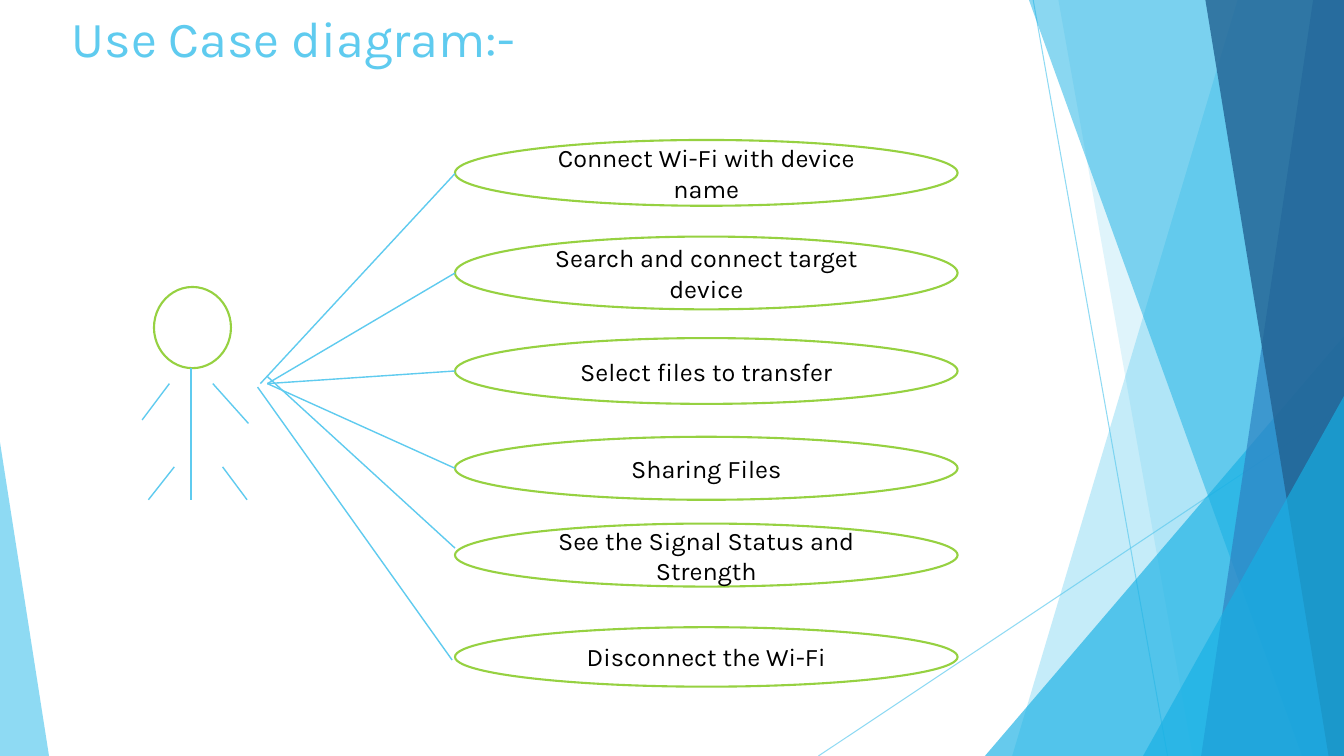
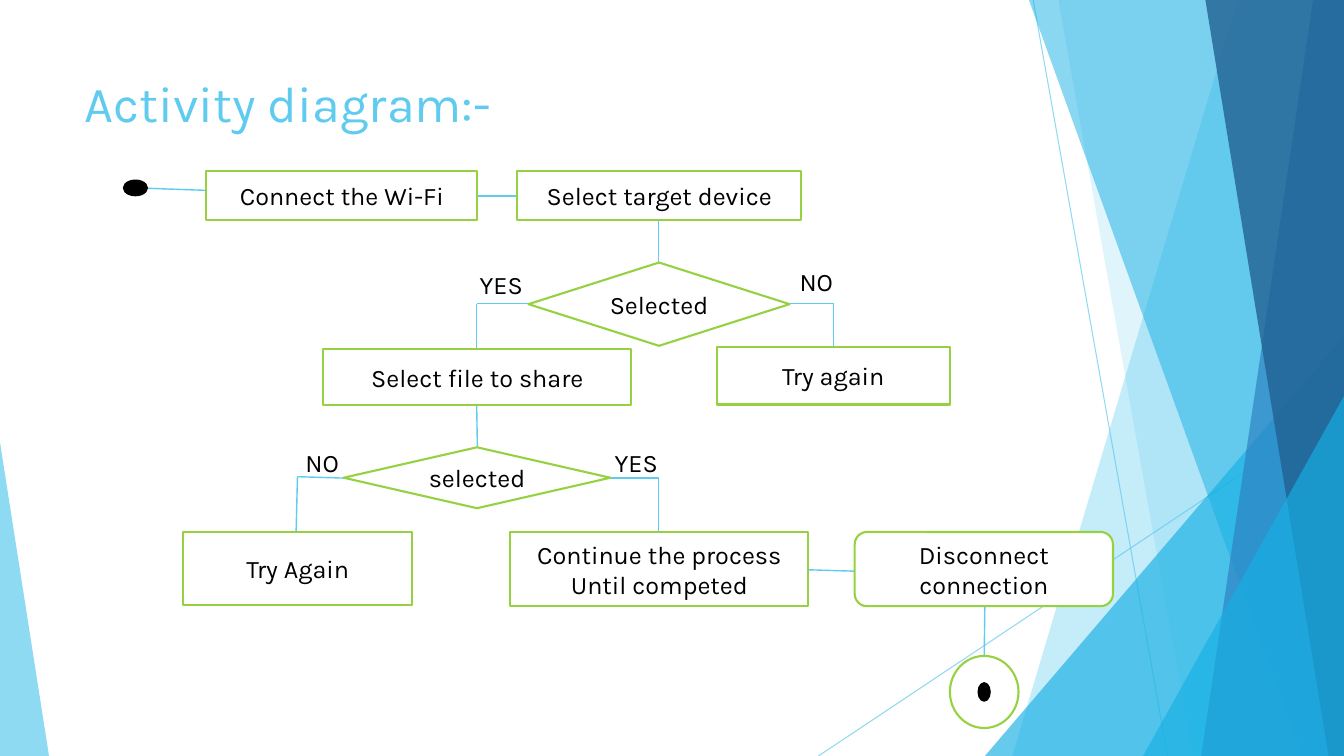
from dataclasses import dataclass
from itertools import pairwise

from lxml.etree import SubElement
from pptx import Presentation
from pptx.dml.color import RGBColor
from pptx.enum.shapes import MSO_CONNECTOR, MSO_SHAPE
from pptx.enum.text import MSO_ANCHOR, MSO_AUTO_SIZE, PP_ALIGN
from pptx.oxml.ns import qn
from pptx.shapes.autoshape import Shape
from pptx.shapes.connector import Connector
from pptx.shapes.shapetree import GroupShapes, SlideShapes
from pptx.slide import Slide, SlideLayout
from pptx.text.text import TextFrame
from pptx.util import Pt

Point = tuple[float, float]
Box = tuple[float, float, float, float]
Shapes = SlideShapes | GroupShapes


@dataclass(frozen=True)
class Theme:
    font: str = "Karla"
    title_size: float = 36
    body_size: float = 18
    outline_width: float = 1.5
    link_width: float = 1
    hairline: float = 0.75
    sky: str = "5FCBEF"
    cyan: str = "17B0E4"
    blue: str = "2E83C3"
    navy: str = "226292"
    green: str = "96D141"
    black: str = "000000"
    white: str = "FFFFFF"


THEME = Theme()
WIDTH, HEIGHT = 960, 540


@dataclass(frozen=True)
class Band:
    """Translucent area from a slanted left edge to the right slide edge."""
    top_x: float
    bottom_x: float
    color: str
    opacity: int


@dataclass(frozen=True)
class Corner:
    """Translucent triangle whose apex sits at a share of its width."""
    box: Box
    apex: float
    color: str
    opacity: int


@dataclass(frozen=True)
class UseCase:
    text: str
    top: float
    height: float
    start: Point
    end: Point


@dataclass(frozen=True)
class Node:
    kind: MSO_SHAPE
    box: Box
    text: str = ""
    fill: str = THEME.white
    outline: str = THEME.green


@dataclass(frozen=True)
class Label:
    text: str
    box: Box


HAIRLINES = [((738, 0), (834, HEIGHT)), ((WIDTH, 290), (584.6, HEIGHT))]
FACETS = [
    Band(884, 723, THEME.sky, 36),
    Band(756, 852, THEME.sky, 20),
    Corner((703.5, 240, 256.5, 300), 1, THEME.cyan, 66),
    Band(735, 930, THEME.cyan, 50),
    Band(938, 858, THEME.blue, 70),
    Band(861, 949, THEME.navy, 80),
    Corner((816.5, 283, 143.5, 257), 1, THEME.cyan, 66),
    Corner((0, 316, 35, 224), 0, THEME.sky, 70),
]

CASE_LEFT, CASE_WIDTH = 325, 359
HAND = (191, 274)
USE_CASES = [
    UseCase("Connect Wi-Fi with device name", 100, 47, (186, 274), (CASE_LEFT, 124)),
    UseCase("Search and connect target device", 169, 52, HAND, (CASE_LEFT, 195)),
    UseCase("Select files to transfer", 241.5, 47, HAND, (CASE_LEFT, 265)),
    UseCase("Sharing Files", 312, 45, HAND, (CASE_LEFT, 334.5)),
    UseCase("See the Signal Status and Strength", 374, 45, (191, 269), (CASE_LEFT, 391.5)),
    UseCase("Disconnect the Wi-Fi", 448, 42.5, (184, 276.5), (323, 471.5)),
]
ACTOR_HEAD = Node(MSO_SHAPE.OVAL, (110, 205, 55, 58))
ACTOR_LIMBS = [
    ((136.5, 263), (136.5, 357)),
    ((152, 274), (177.5, 302.5)),
    ((121, 274), (101.5, 300)),
    ((159, 333.5), (176.5, 357)),
    ((124.5, 333.5), (106, 357)),
]

NODES = [
    Node(MSO_SHAPE.OVAL, (88.5, 129, 16.5, 10.5), fill=THEME.black, outline=THEME.black),
    Node(MSO_SHAPE.RECTANGLE, (147.5, 122, 193.5, 35.5), "Connect the Wi-Fi"),
    Node(MSO_SHAPE.RECTANGLE, (369.5, 122, 203, 35.5), "Select target device"),
    Node(MSO_SHAPE.DIAMOND, (377.5, 187.5, 186.5, 59.5), "Selected"),
    Node(MSO_SHAPE.RECTANGLE, (512, 248, 166.5, 41), "Try again"),
    Node(MSO_SHAPE.RECTANGLE, (231, 249, 220, 40.5), "Select file to share"),
    Node(MSO_SHAPE.DIAMOND, (245.5, 319.5, 190.5, 43.5), "selected"),
    Node(MSO_SHAPE.RECTANGLE, (131, 380, 163.5, 52), "Try Again"),
    Node(MSO_SHAPE.RECTANGLE, (364.5, 380, 213, 53), "Continue the process\nUntil competed"),
    Node(MSO_SHAPE.ROUNDED_RECTANGLE, (610.5, 380, 184.5, 53), "Disconnect connection"),
    Node(MSO_SHAPE.OVAL, (678.5, 468.5, 49, 51.5)),
    Node(MSO_SHAPE.OVAL, (699, 488, 8, 12.5), fill=THEME.black, outline=THEME.black),
]
ROUTES = [
    [(105, 134.5), (147.5, 136)],
    [(341, 140), (369.5, 140)],
    [(470.5, 157.5), (470.5, 187.5)],
    [(564, 217), (595.5, 217), (595.5, 248)],
    [(377.5, 217), (340.5, 217), (340.5, 249)],
    [(340.5, 289.5), (341, 319.5)],
    [(245.5, 341.5), (212.5, 340.5), (211.5, 380)],
    [(436, 341.5), (470.5, 341.5), (470.5, 380)],
    [(577.5, 407), (610.5, 408)],
    [(703.5, 433), (703, 468.5)],
]
LABELS = [
    Label("NO", (564, 187, 51, 29)),
    Label("YES", (335.5, 188.5, 56, 29.5)),
    Label("NO", (211, 316, 54, 29)),
    Label("YES", (432, 316, 66, 29)),
]


def rgb(color: str) -> RGBColor:
    return RGBColor.from_string(color)


def write(tf: TextFrame, text: str, *, size: float = THEME.body_size,
          color: str = THEME.black, align: PP_ALIGN = PP_ALIGN.LEFT,
          anchor: MSO_ANCHOR = MSO_ANCHOR.TOP,
          auto_size: MSO_AUTO_SIZE = MSO_AUTO_SIZE.NONE) -> None:
    """Fill a text frame, one paragraph for each line of the text."""
    tf.word_wrap = True
    tf.auto_size = auto_size
    tf.vertical_anchor = anchor
    tf.text = text
    for p in tf.paragraphs:
        p.alignment = align
        for r in p.runs:
            r.font.name = THEME.font
            r.font.size = Pt(size)
            r.font.color.rgb = rgb(color)


def set_opacity(sp: Shape | Connector, percent: int) -> None:
    for clr in sp.element.iter(qn("a:srgbClr")):
        SubElement(clr, qn("a:alpha"), val=str(percent * 1000))


def paint(sp: Shape, fill: str, outline: str | None = None) -> None:
    sp.shadow.inherit = False
    sp.fill.solid()
    sp.fill.fore_color.rgb = rgb(fill)
    if outline:
        sp.line.color.rgb = rgb(outline)
        sp.line.width = Pt(THEME.outline_width)
    else:
        sp.line.fill.background()


def add_line(shapes: Shapes, start: Point, end: Point,
             width: float = THEME.link_width) -> Connector:
    line = shapes.add_connector(MSO_CONNECTOR.STRAIGHT, *map(Pt, start + end))
    line.line.color.rgb = rgb(THEME.sky)
    line.line.width = Pt(width)
    SubElement(line.element.spPr, qn("a:effectLst"))
    return line


def add_facet(shapes: Shapes, facet: Band | Corner) -> None:
    if isinstance(facet, Band):
        builder = shapes.build_freeform(Pt(facet.top_x), 0)
        outline = [(WIDTH, 0), (WIDTH, HEIGHT), (facet.bottom_x, HEIGHT)]
        builder.add_line_segments([(Pt(x), Pt(y)) for x, y in outline])
        sp = builder.convert_to_shape()
    else:
        sp = shapes.add_shape(MSO_SHAPE.ISOSCELES_TRIANGLE, *map(Pt, facet.box))
        sp.adjustments[0] = facet.apex
    paint(sp, facet.color)
    set_opacity(sp, facet.opacity)


def add_backdrop(layout: SlideLayout, slide: Slide) -> None:
    """Draw the facets as a group on a slide, then move it to the layout."""
    group = slide.shapes.add_group_shape()
    for start, end in HAIRLINES:
        set_opacity(add_line(group.shapes, start, end, THEME.hairline), 70)
    for facet in FACETS:
        add_facet(group.shapes, facet)
    for number, props in enumerate(group.element.iter(qn("p:cNvPr")), 100):
        props.set("id", str(number))
    layout.shapes.element.append(group.element)


def add_node(shapes: Shapes, node: Node) -> None:
    sp = shapes.add_shape(node.kind, *map(Pt, node.box))
    paint(sp, node.fill, node.outline)
    if node.text:
        write(sp.text_frame, node.text, align=PP_ALIGN.CENTER, anchor=MSO_ANCHOR.MIDDLE)


def add_label(shapes: Shapes, label: Label) -> None:
    sp = shapes.add_textbox(*map(Pt, label.box))
    write(sp.text_frame, label.text, auto_size=MSO_AUTO_SIZE.SHAPE_TO_FIT_TEXT)


def set_title(slide: Slide, text: str, box: Box) -> None:
    title = slide.shapes.title
    title.left, title.top, title.width, title.height = map(Pt, box)
    write(title.text_frame, text, size=THEME.title_size, color=THEME.sky)


def build_use_cases(slide: Slide) -> None:
    set_title(slide, "Use Case diagram:-", (44, 1.5, 677, 67.5))
    add_node(slide.shapes, ACTOR_HEAD)
    for start, end in ACTOR_LIMBS:
        add_line(slide.shapes, start, end)
    for case in USE_CASES:
        box = (CASE_LEFT, case.top, CASE_WIDTH, case.height)
        add_node(slide.shapes, Node(MSO_SHAPE.OVAL, box, case.text))
        add_line(slide.shapes, case.start, case.end)


def build_activity(slide: Slide) -> None:
    set_title(slide, "Activity diagram:-", (53, 48, 677, 60))
    for route in ROUTES:
        for start, end in pairwise(route):
            add_line(slide.shapes, start, end)
    for node in NODES:
        add_node(slide.shapes, node)
    for label in LABELS:
        add_label(slide.shapes, label)


def main() -> None:
    prs = Presentation()
    prs.slide_width, prs.slide_height = Pt(WIDTH), Pt(HEIGHT)
    layout = prs.slide_layouts.get_by_name("Title Only")
    use_cases, activity = (prs.slides.add_slide(layout) for _ in range(2))
    add_backdrop(layout, use_cases)
    build_use_cases(use_cases)
    build_activity(activity)
    prs.save("out.pptx")


if __name__ == "__main__":
    main()
